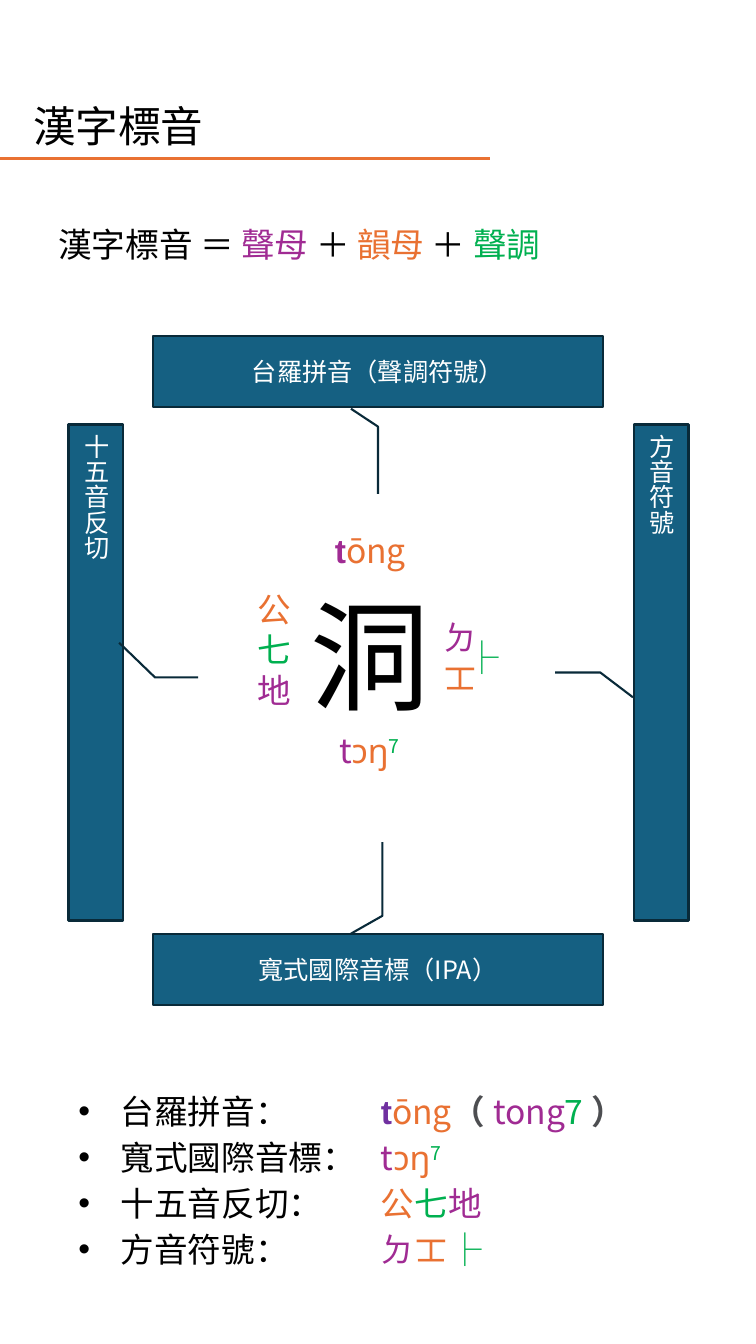
from dataclasses import dataclass

from lxml.etree import SubElement
from pptx import Presentation
from pptx.dml.color import RGBColor
from pptx.enum.shapes import MSO_CONNECTOR, MSO_SHAPE
from pptx.enum.text import MSO_ANCHOR, MSO_AUTO_SIZE, PP_ALIGN
from pptx.oxml.ns import qn
from pptx.slide import Slide
from pptx.text.text import TextFrame
from pptx.util import Inches, Pt

CJK = "Noto Sans CJK TC"
LATIN = "Arial"
COLORS = {
    "text": "000000",
    "initial": "A02B93",
    "accent_initial": "7030A0",
    "final": "E97132",
    "tone": "00B050",
    "bracket": "4D4E51",
    "callout": "156082",
    "outline": "092A39",
    "white": "FFFFFF",
}


@dataclass(frozen=True)
class Run:
    text: str
    color: str = "text"
    bold: bool = False
    font: str = CJK
    raised: bool = False


@dataclass(frozen=True)
class TextBlock:
    box: tuple[float, float, float, float]
    lines: list[list[Run]]
    size: float = 24
    align: PP_ALIGN = PP_ALIGN.CENTER


@dataclass(frozen=True)
class Callout:
    box: tuple[float, float, float, float]
    label: str
    leader: tuple[float, ...]
    vertical: bool = False


IPA = [Run("t", "initial"), Run("ɔŋ", "final"), Run("7", "tone", raised=True)]
FANQIE = [Run("公", "final"), Run("七", "tone"), Run("地", "initial")]
BOPOMOFO = [Run("ㄉ", "initial"), Run("ㆲ", "final")]
TONE_MARK = Run("├", "tone", bold=True)

TEXT_BLOCKS = [
    TextBlock((2.98, 5.72, 1.49, 1.54), [[Run("洞")]], 85.3, PP_ALIGN.JUSTIFY),
    TextBlock((4.26, 6.07, 0.61, 0.91), [BOPOMOFO]),
    TextBlock((2.86, 7.19, 1.61, 0.5), [IPA]),
    TextBlock((0.48, 2.17, 6.33, 0.5), [[
        Run("漢字標音 ＝ "), Run("聲母", "initial"), Run(" ＋ "),
        Run("韻母", "final"), Run(" ＋ "), Run("聲調", "tone"),
    ]], align=PP_ALIGN.LEFT),
    TextBlock((2.86, 5.21, 1.61, 0.5), [[
        Run(" t", "initial", bold=True, font=LATIN), Run("ōng ", "final"),
    ]]),
    TextBlock((4.48, 6.27, 0.61, 0.5), [[TONE_MARK]]),
    TextBlock((2.42, 5.79, 0.61, 1.31), [[run] for run in FANQIE]),
]

SUMMARY = TextBlock((0.68, 10.77, 6.71, 1.88), [
    [Run("台羅拼音：\t"),
     Run("t", "accent_initial", bold=True, font=LATIN), Run("ōng", "final"),
     Run("（", "bracket", bold=True, font=LATIN), Run(" tong", "initial"),
     Run("7 ", "tone"), Run("）", "bracket", bold=True, font=LATIN)],
    [Run("寬式國際音標：\t"), *IPA],
    [Run("十五音反切：\t"), *FANQIE],
    [Run("方音符號：\t"), *BOPOMOFO, TONE_MARK],
], align=PP_ALIGN.LEFT)

CALLOUTS = [
    Callout((1.52, 3.33, 4.46, 0.71), "台羅拼音（聲調符號）",
            (1.02, 0.44, 1.27, 0.5, 2.21, 0.5)),
    Callout((1.52, 9.26, 4.46, 0.71), "寬式國際音標（IPA）",
            (0, 0.44, -0.25, 0.51, -1.28, 0.51)),
    Callout((6.29, 4.21, 0.54, 4.92), "方音符號",
            (0.55, -0.02, 0.5, -0.62, 0.5, -1.45), vertical=True),
    Callout((0.68, 4.21, 0.54, 4.92), "十五音反切",
            (0.44, 0.93, 0.51, 1.59, 0.51, 2.38), vertical=True),
]


def rgb(name: str) -> RGBColor:
    return RGBColor.from_string(COLORS[name])


def write_text(frame: TextFrame, lines: list[list[Run]], *, size: float,
               align: PP_ALIGN, anchor: MSO_ANCHOR = MSO_ANCHOR.TOP,
               line_spacing: float | None = None) -> None:
    frame.word_wrap = True
    frame.vertical_anchor = anchor
    for index, runs in enumerate(lines):
        paragraph = frame.add_paragraph() if index else frame.paragraphs[0]
        paragraph.alignment = align
        paragraph.line_spacing = line_spacing
        for item in runs:
            run = paragraph.add_run()
            run.text = item.text
            run.font.name = item.font
            run.font.size = Pt(size)
            run.font.bold = item.bold
            run.font.color.rgb = rgb(item.color)
            properties = run.font._element
            SubElement(properties, qn("a:ea"), typeface=item.font)
            if item.raised:
                properties.set("baseline", "30000")


def add_text(slide: Slide, block: TextBlock) -> TextFrame:
    frame = slide.shapes.add_textbox(*map(Inches, block.box)).text_frame
    write_text(frame, block.lines, size=block.size, align=block.align)
    frame.auto_size = MSO_AUTO_SIZE.SHAPE_TO_FIT_TEXT
    return frame


def add_title(slide: Slide) -> None:
    line = slide.shapes.add_connector(
        MSO_CONNECTOR.STRAIGHT, 0, Inches(1.57), Inches(4.86), Inches(1.57))
    line.line.color.rgb = rgb("final")
    line.line.width = Pt(2)
    SubElement(line._element.spPr, qn("a:effectLst"))
    box = slide.shapes.add_textbox(*map(Inches, (0.26, 0.97, 3.81, 0.56)))
    frame = box.text_frame
    frame.margin_left = frame.margin_right = Inches(0.07)
    frame.margin_top = frame.margin_bottom = Inches(0.03)
    write_text(frame, [[Run("漢字標音")]], size=30.4, align=PP_ALIGN.LEFT,
               anchor=MSO_ANCHOR.BOTTOM, line_spacing=0.9)


def add_summary(slide: Slide) -> None:
    for paragraph in add_text(slide, SUMMARY).paragraphs:
        paragraph.space_before = Pt(4)
        properties = paragraph._p.get_or_add_pPr()
        properties.set("marL", str(Inches(0.42)))
        properties.set("indent", str(Inches(-0.42)))
        SubElement(properties, qn("a:buFont"), typeface=LATIN)
        SubElement(properties, qn("a:buChar"), char="•")
        tabs = SubElement(properties, qn("a:tabLst"))
        SubElement(tabs, qn("a:tab"), pos=str(Inches(3)), algn="l")


def add_callout(slide: Slide, callout: Callout) -> None:
    shape = slide.shapes.add_shape(
        MSO_SHAPE.LINE_CALLOUT_2, *map(Inches, callout.box))
    for index, value in enumerate(callout.leader):
        shape.adjustments[index] = value
    shape.shadow.inherit = False
    shape.fill.solid()
    shape.fill.fore_color.rgb = rgb("callout")
    shape.line.color.rgb = rgb("outline")
    shape.line.width = Pt(1.5)
    write_text(shape.text_frame, [[Run(callout.label, "white")]], size=18,
               align=PP_ALIGN.CENTER, anchor=MSO_ANCHOR.MIDDLE)
    if callout.vertical:
        shape.text_frame._txBody.bodyPr.set("vert", "eaVert")


def main() -> None:
    presentation = Presentation()
    presentation.slide_width = Inches(7.5)
    presentation.slide_height = Inches(13.33)
    slide = presentation.slides.add_slide(presentation.slide_layouts[6])
    add_title(slide)
    add_summary(slide)
    for block in TEXT_BLOCKS:
        add_text(slide, block)
    for callout in CALLOUTS:
        add_callout(slide, callout)
    presentation.save("out.pptx")


if __name__ == "__main__":
    main()
